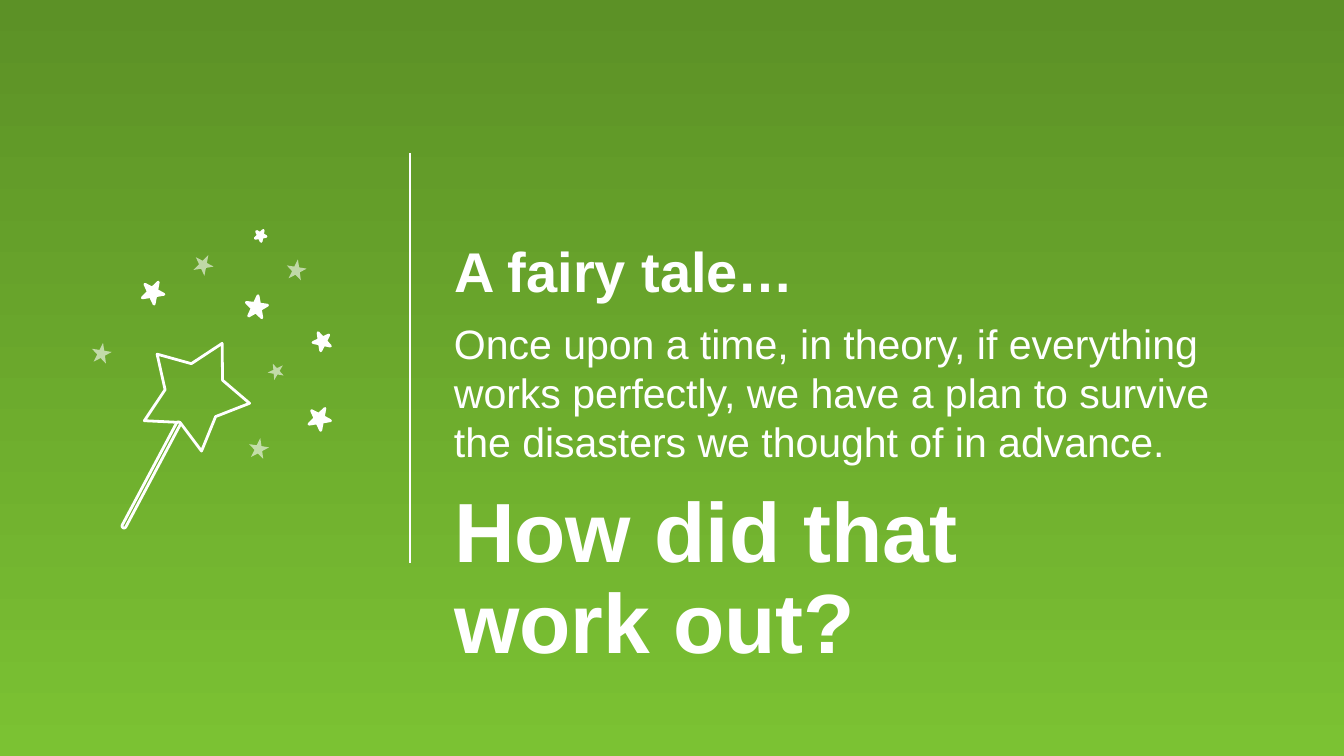
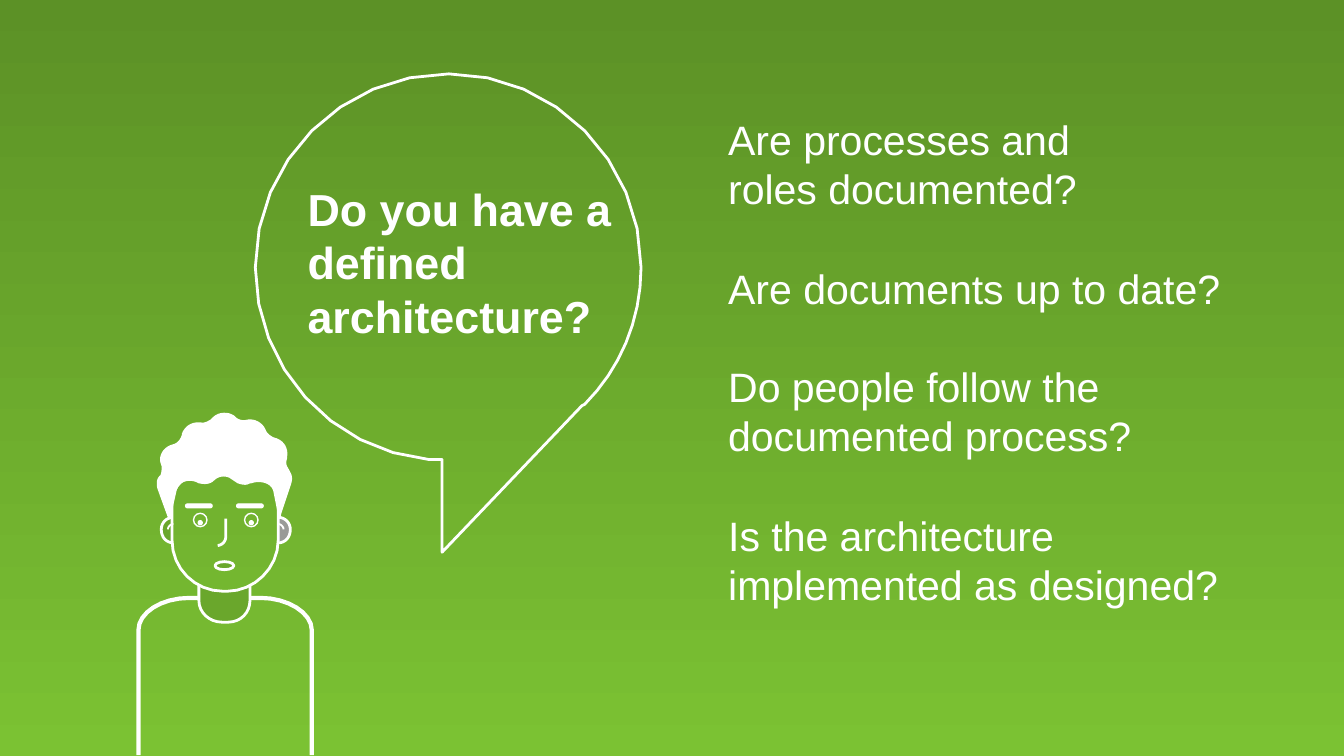
"""Build two green question slides: a fairy tale with a magic wand, and a man asking about architecture."""
from lxml import etree
from pptx import Presentation
from pptx import util as u
from pptx.dml import color
from pptx.enum import shapes, text
from pptx.oxml import ns

COLORS = {"top": "5C9126", "bottom": "7BC233", "white": "FFFFFF", "skin": "6AA72C", "ear": "999A98"}
FORMATS = {
    "heading": {"name": "Arial", "size": u.Pt(30), "bold": True},
    "body": {"name": "Arial", "size": u.Pt(22), "bold": False},
    "big": {"name": "Arial", "size": u.Pt(45), "bold": True},
    "bubble": {"name": "Arial", "size": u.Pt(24), "bold": True},
}
FRAME = {"word_wrap": True, "auto_size": text.MSO_AUTO_SIZE.SHAPE_TO_FIT_TEXT}
STAR = shapes.MSO_SHAPE.STAR_5_POINT
OVAL = shapes.MSO_SHAPE.OVAL
PILL = shapes.MSO_SHAPE.ROUNDED_RECTANGLE


def length(inches):
    return u.Cm(inches * 2.54)


def rgb(name):
    return color.RGBColor.from_string(COLORS[name])


def flatten(start, steps, pieces=8):
    """Turn steps (x, y) or (x1, y1, x2, y2, x, y) into a list of points on the outline."""
    points = [start]
    for step in steps:
        if len(step) == 2:
            points.append(step)
            continue
        controls = [points[-1], step[:2], step[2:4], step[4:]]
        for index in range(1, pieces + 1):
            t = index / pieces
            weights = ((1 - t) ** 3, 3 * t * (1 - t) ** 2, 3 * t * t * (1 - t), t ** 3)
            points.append(tuple(sum(w * point[axis] for w, point in zip(weights, controls)) for axis in (0, 1)))
    return points


class Deck:
    """Hold the style and the current slide, and draw each kind of element."""

    def __init__(self):
        self.presentation = Presentation()
        self.presentation.slide_width = u.Cm(25.4)
        self.presentation.slide_height = u.Cm(14.29)
        self.slide = None

    def add_slide(self):
        self.slide = self.presentation.slides.add_slide(self.presentation.slide_layouts[6])
        fill = self.slide.background.fill
        fill.gradient()
        fill.gradient_angle = 270
        for stop, name, position in zip(fill.gradient_stops, ("top", "bottom"), (0, 1)):
            stop.color.rgb = rgb(name)
            stop.position = position

    def text(self, words, left, top, width, height, style, spacing=None):
        box = self.slide.shapes.add_textbox(*map(length, (left, top, width, height)))
        for name, value in FRAME.items():
            setattr(box.text_frame, name, value)
        paragraph = box.text_frame.paragraphs[0]
        paragraph.line_spacing = spacing
        for index, line in enumerate(words.splitlines()):
            if index:
                paragraph.add_line_break()
            run = paragraph.add_run()
            run.text = line
            for name, value in FORMATS[style].items():
                setattr(run.font, name, value)
            run.font.color.rgb = rgb("white")

    def paint(self, shape, fill, line, opacity=None):
        shape.shadow.inherit = False
        if fill == "background":
            shape._element.set("useBgFill", "1")
        elif fill:
            shape.fill.solid()
            shape.fill.fore_color.rgb = rgb(fill)
        else:
            shape.fill.background()
        if opacity:
            paint = shape._element.spPr.find(".//" + ns.qn("a:srgbClr"))
            etree.SubElement(paint, ns.qn("a:alpha"), val=str(opacity * 1000))
        if line:
            shape.line.color.rgb = rgb("white")
            shape.line.width = u.Pt(line)
        else:
            shape.line.fill.background()

    def preset(self, kind, left, top, width, height, fill=None, line=None, turn=0, adjust=None, opacity=None):
        shape = self.slide.shapes.add_shape(kind, *map(length, (left, top, width, height)))
        shape.rotation = turn
        if adjust is not None:
            shape.adjustments[0] = adjust
        self.paint(shape, fill, line, opacity)

    def outline(self, start, steps, fill=None, line=1.5, close=False, mirror=None):
        points = flatten(start, steps)
        if mirror:
            points = [(2 * mirror - x, y) for x, y in points]
        points = [(length(x), length(y)) for x, y in points]
        builder = self.slide.shapes.build_freeform(*points[0])
        builder.add_line_segments(points[1:], close=close)
        self.paint(builder.convert_to_shape(), fill, line)

    def line(self, x1, y1, x2, y2, width):
        ends = map(length, (x1, y1, x2, y2))
        connector = self.slide.shapes.add_connector(shapes.MSO_CONNECTOR.STRAIGHT, *ends)
        connector.line.color.rgb = rgb("white")
        connector.line.width = u.Pt(width)
        etree.SubElement(connector._element.spPr, ns.qn("a:effectLst"))


def draw_wand(deck):
    deck.preset(STAR, 1.08, 2.51, 0.78, 0.78, "background", 1.5, 28, 0.273)
    deck.preset(PILL, 1.11, 3.09, 0.03, 0.89, "background", 1.5, 28, 0.5)
    bright_stars = [(1.06, 2.09, 0.16, 28), (1.9, 1.71, 0.08, 28), (1.83, 2.2, 0.16, 7.5),
                    (2.33, 2.47, 0.13, 334.4), (2.3, 3.03, 0.16, 28)]
    faint_stars = [(1.44, 1.89, 0.15, 28), (2.13, 1.93, 0.15, 9.2), (2, 2.7, 0.12, 47.5),
                   (1.85, 3.26, 0.15, 9.2), (0.68, 2.55, 0.15, 9.2)]
    for stars, line, opacity in ((bright_stars, 1.5, None), (faint_stars, None, 59)):
        for left, top, size, turn in stars:
            deck.preset(STAR, left, top, size, size, "white", line, turn, 0.194, opacity)


def draw_man(deck):
    center = 1.68
    deck.outline((1.03, 5.62), [
        (1.03, 4.69), (1.03, 4.56, 1.2, 4.45, 1.41, 4.45), (1.94, 4.45),
        (2.14, 4.45, 2.32, 4.56, 2.32, 4.69), (2.32, 5.62)], line=2.25)
    ear = [(1.97, 3.89, 2.01, 3.85, 2.07, 3.85), (2.12, 3.85, 2.16, 3.89, 2.16, 3.94),
           (2.16, 4, 2.12, 4.04, 2.07, 4.04), (2.05, 4.04, 2.03, 4.04, 2.02, 4.03)]
    sides = ((None, "ear"), (center, "skin"))
    for mirror, fill in sides:
        deck.outline((1.97, 3.94), ear, fill, mirror=mirror)
    deck.outline((1.7, 4.63), [
        (1.65, 4.63), (1.56, 4.63, 1.48, 4.56, 1.48, 4.47), (1.48, 4.32), (1.86, 4.32),
        (1.86, 4.47), (1.86, 4.56, 1.79, 4.63, 1.7, 4.63)], "skin", close=True)
    deck.outline((1.69, 4.4), [
        (1.66, 4.4), (1.45, 4.4, 1.28, 4.23, 1.28, 4.02), (1.28, 3.74),
        (1.28, 3.62, 1.38, 3.52, 1.5, 3.52), (1.87, 3.52),
        (1.98, 3.52, 2.07, 3.61, 2.07, 3.72), (2.07, 4.02),
        (2.07, 4.23, 1.89, 4.4, 1.69, 4.4)], "background", close=True)
    deck.outline((1.62, 4.06), [(1.65, 4.06, 1.68, 4.03, 1.68, 4), (1.68, 3.86)])
    for brow, eye in ((1.38, 1.44), (1.76, 1.82)):
        deck.preset(PILL, brow, 3.75, 0.2, 0.03, "white", 0.5, adjust=0.5)
        deck.preset(OVAL, eye, 3.82, 0.1, 0.1, line=0.75)
        deck.preset(OVAL, eye + 0.03, 3.87, 0.04, 0.04, "white")
    deck.outline((1.26, 3.86), [
        (1.18, 3.64), (1.17, 3.61, 1.17, 3.57, 1.19, 3.55), (1.2, 3.54),
        (1.21, 3.52, 1.21, 3.49, 1.21, 3.47), (1.2, 3.44), (1.19, 3.39, 1.22, 3.34, 1.27, 3.32),
        (1.3, 3.31), (1.33, 3.3, 1.35, 3.27, 1.36, 3.24), (1.36, 3.23),
        (1.38, 3.18, 1.42, 3.15, 1.48, 3.15), (1.49, 3.15), (1.52, 3.16, 1.55, 3.14, 1.57, 3.13),
        (1.59, 3.11), (1.63, 3.07, 1.7, 3.07, 1.74, 3.1), (1.75, 3.11),
        (1.77, 3.13, 1.81, 3.14, 1.84, 3.13), (1.89, 3.12, 1.95, 3.15, 1.97, 3.2),
        (1.98, 3.23, 2.01, 3.25, 2.03, 3.26), (2.06, 3.27), (2.11, 3.29, 2.14, 3.34, 2.13, 3.4),
        (2.13, 3.41), (2.12, 3.44, 2.12, 3.46, 2.14, 3.49), (2.15, 3.51),
        (2.17, 3.54, 2.17, 3.57, 2.16, 3.6), (2.09, 3.81), (2.08, 3.85), (2.04, 3.65),
        (2.02, 3.58, 1.92, 3.57, 1.87, 3.59), (1.86, 3.59), (1.83, 3.61, 1.8, 3.6, 1.77, 3.59),
        (1.71, 3.55), (1.67, 3.53, 1.62, 3.54, 1.59, 3.57), (1.56, 3.6, 1.52, 3.6, 1.48, 3.59),
        (1.43, 3.56, 1.34, 3.56, 1.31, 3.64)], "white", 1, close=True)
    for mirror, _ in sides:
        deck.outline((2.07, 3.9), [(2.09, 3.9, 2.11, 3.92, 2.11, 3.94)], line=1, mirror=mirror)
    deck.preset(OVAL, 1.6, 4.18, 0.14, 0.06, "skin", 1.5)


def draw_bubble(deck):
    deck.outline((3.34, 0.55), [
        (4.13, 0.55, 4.77, 1.2, 4.77, 1.99), (4.77, 2.39, 4.61, 2.75, 4.35, 3.01), (4.33, 3.02),
        (3.29, 4.11), (3.29, 3.42), (3.19, 3.42), (2.46, 3.35, 1.9, 2.73, 1.9, 1.99),
        (1.9, 1.2, 2.54, 0.55, 3.34, 0.55)], "background", close=True)
    deck.text("Do you have a defined architecture?", 2.19, 1.3, 2.46, 1.31, "bubble")


def main():
    deck = Deck()

    deck.add_slide()
    deck.text("A fairy tale…", 3.28, 1.71, 4.78, 0.61, "heading")
    deck.line(3.05, 1.14, 3.05, 4.19, 1.25)
    deck.text("Once upon a time, in theory, if everything works perfectly, "
              "we have a plan to survive the disasters we thought of in advance.",
              3.28, 2.32, 6.1, 1.21, "body")
    deck.text("How did that work out?", 3.28, 3.6, 5.08, 1.46, "big", 0.9)
    draw_wand(deck)

    deck.add_slide()
    draw_man(deck)
    draw_bubble(deck)
    questions = [
        ("Are processes and\nroles documented?", 0.8, 0.84),
        ("Are documents up to date?", 1.91, 0.47),
        ("Do people follow the documented process?", 2.64, 0.84),
        ("Is the architecture implemented as designed?", 3.75, 0.84),
    ]
    for question, top, height in questions:
        deck.text(question, 5.32, top, 4.3, height, "body")

    deck.presentation.save("out.pptx")


if __name__ == "__main__":
    main()
